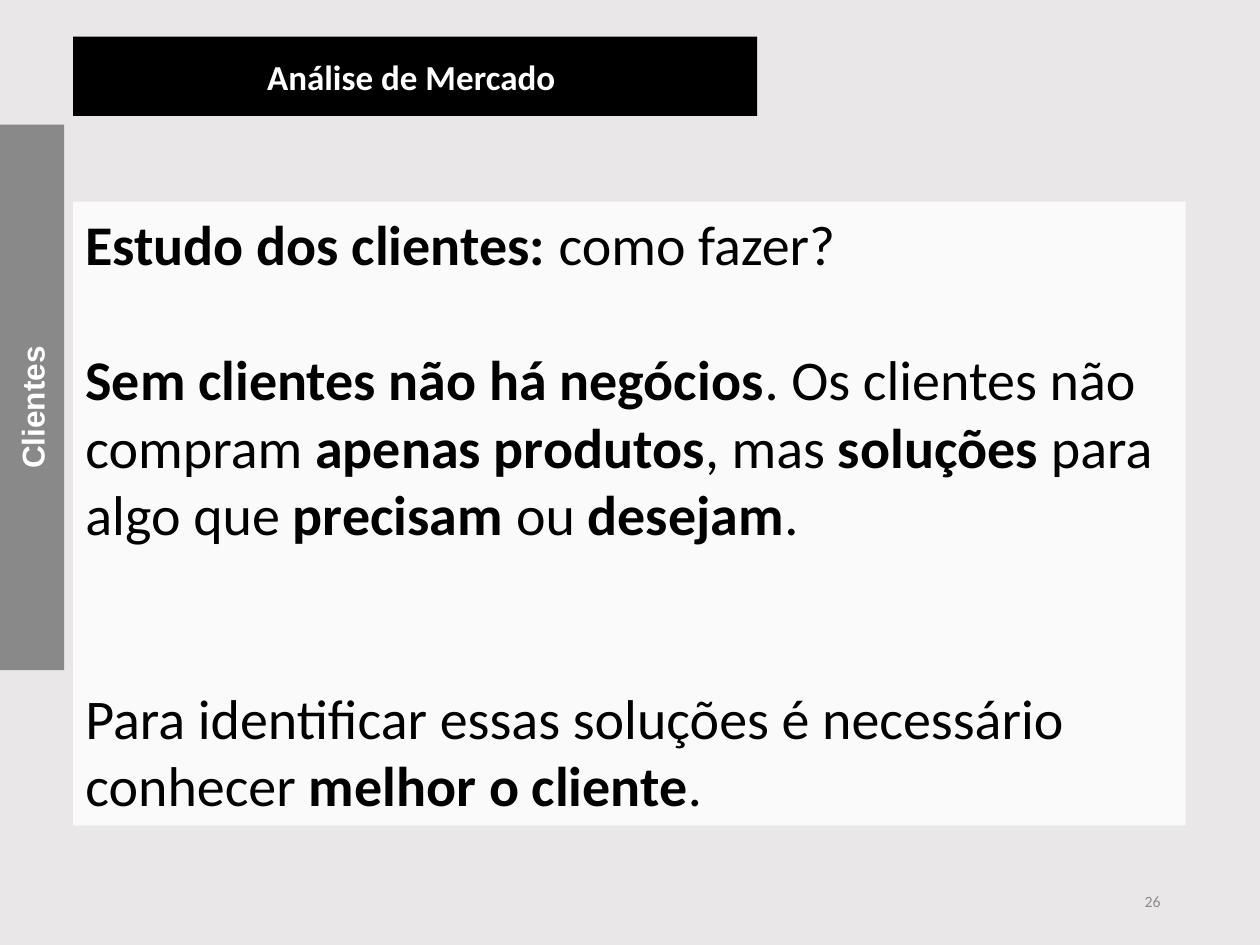
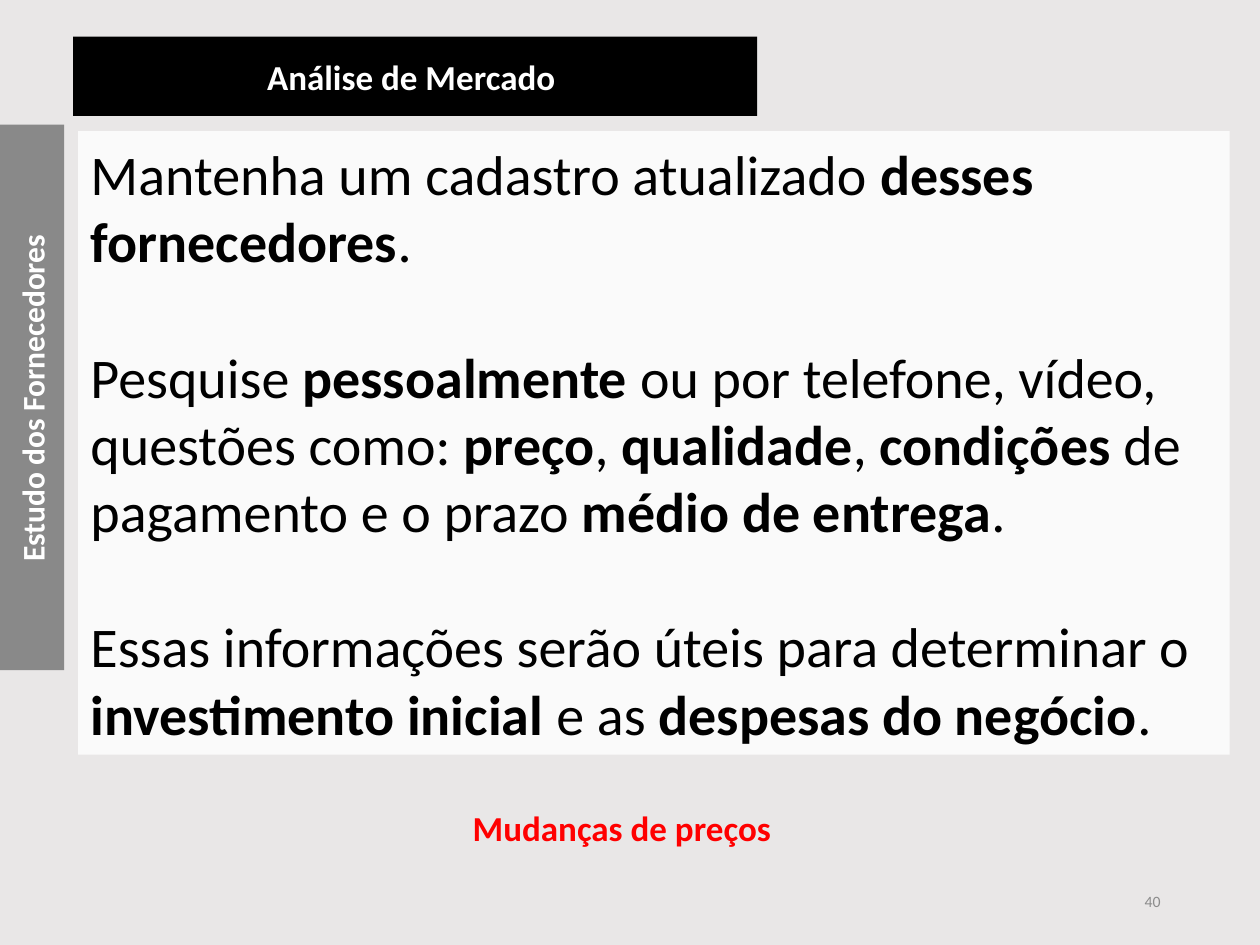
from lxml import etree
from pptx import Presentation
from pptx.dml.color import RGBColor
from pptx.enum.shapes import MSO_SHAPE as SHAPE
from pptx.enum.text import MSO_ANCHOR as ANCHOR, PP_ALIGN as ALIGN
from pptx.oxml.ns import qn
from pptx.util import Inches, Pt

BACKGROUND, TAB_GRAY, PANEL = "E9E7E7", "7C7C7C", "FAFAFA"
BLACK, WHITE, RED, NUMBER_GRAY = "000000", "FFFFFF", "FF0000", "8C8C8C"
TAB_BOX = (0, 0.99, 0.51, 4.33)
TITLE_BOX = (0.58, 0.29, 5.43, 0.63)
NUMBER_BOX = (7.06, 6.95, 2.25, 0.4)
BODY_LINE = 39  # height in points of one line of body text


def color(value):
    return RGBColor.from_string(value)


def add_text(sp, text, size=20, font="Calibri", fill=BLACK, bold=False,
             align=ALIGN.LEFT, anchor=ANCHOR.MIDDLE, gaps=()):
    """Write one paragraph per line; **marks** switch bold on and off."""
    tf = sp.text_frame
    tf.word_wrap = True
    tf.vertical_anchor = anchor
    for i, line in enumerate(text.split("\n")):
        p = tf.add_paragraph() if i else tf.paragraphs[0]
        p.alignment = align
        if i and gaps:
            p.space_before = Pt(gaps[i - 1])
        for j, part in enumerate(line.split("**")):
            if not part:
                continue
            r = p.add_run()
            r.text = part
            r.font.name, r.font.size = font, Pt(size)
            r.font.bold = bold or j % 2 == 1
            r.font.color.rgb = color(fill)
    return tf


def add_box(s, box, fill):
    sp = s.shapes.add_shape(SHAPE.RECTANGLE, *map(Inches, box))
    sp.shadow.inherit = False
    sp.fill.solid()
    sp.fill.fore_color.rgb = color(fill)
    sp.line.fill.background()
    return sp


def add_side_tab(s, box, label, font, top_inset):
    sp = add_box(s, box, TAB_GRAY)
    rgb = sp._element.spPr.find(qn("a:solidFill"))[0]
    etree.SubElement(rgb, qn("a:alpha")).set("val", "88000")
    tf = add_text(sp, label, size=18, font=font, fill=WHITE, bold=True,
                  align=ALIGN.CENTER)
    tf.margin_top = Inches(top_inset)
    tf._txBody.bodyPr.set("vert", "vert270")


def add_title(s, box):
    tf = add_text(add_box(s, box, BLACK), "Análise de Mercado", fill=WHITE,
                  bold=True, align=ALIGN.CENTER)
    tf.margin_right = Inches(0.16)


def add_body(s, box, text, blank_lines):
    add_text(add_box(s, box, PANEL), text, size=32,
             gaps=[n * BODY_LINE for n in blank_lines])


def add_label(s, box, text, **style):
    add_text(s.shapes.add_textbox(*map(Inches, box)), text, **style)


def add_content_slide(prs, tab, number, body_box, body, blank_lines,
                      tab_font="Calibri", tab_inset=0.11):
    s = prs.slides.add_slide(prs.slide_layouts[6])
    s.background.fill.solid()
    s.background.fill.fore_color.rgb = color(BACKGROUND)
    add_side_tab(s, TAB_BOX, tab, tab_font, tab_inset)
    add_title(s, TITLE_BOX)
    add_body(s, body_box, body, blank_lines)
    add_label(s, NUMBER_BOX, number, size=9, fill=NUMBER_GRAY, align=ALIGN.RIGHT)
    return s


def main():
    prs = Presentation()
    prs.slide_width, prs.slide_height = Inches(10), Inches(7.5)

    # Customers
    add_content_slide(
        prs, "Clientes", "26", (0.58, 1.6, 8.83, 4.95),
        "**Estudo dos clientes: **como fazer?\n"
        "**Sem clientes não há negócios**. Os clientes não compram "
        "**apenas produtos**, mas **soluções** para algo que **precisam** ou "
        "**desejam**.\n"
        "Para identificar essas soluções é necessário conhecer "
        "**melhor o cliente**.",
        blank_lines=(1, 2), tab_font="Arial", tab_inset=0.26)

    # Suppliers
    s = add_content_slide(
        prs, "Estudo dos Fornecedores", "40", (0.62, 1.04, 9.14, 4.95),
        "Mantenha um cadastro atualizado **desses fornecedores**.\n"
        "Pesquise **pessoalmente **ou por telefone, vídeo, questões como: "
        "**preço**, **qualidade**, **condições **de pagamento e o prazo "
        "**médio de entrega**.\n"
        "Essas informações serão úteis para determinar o "
        "**investimento inicial **e as **despesas do negócio**.",
        blank_lines=(1, 1))
    add_label(s, (1.64, 6.35, 6.59, 0.44), "Mudanças de preços", fill=RED,
              bold=True, align=ALIGN.CENTER, anchor=ANCHOR.TOP)

    prs.save("out.pptx")


if __name__ == "__main__":
    main()
